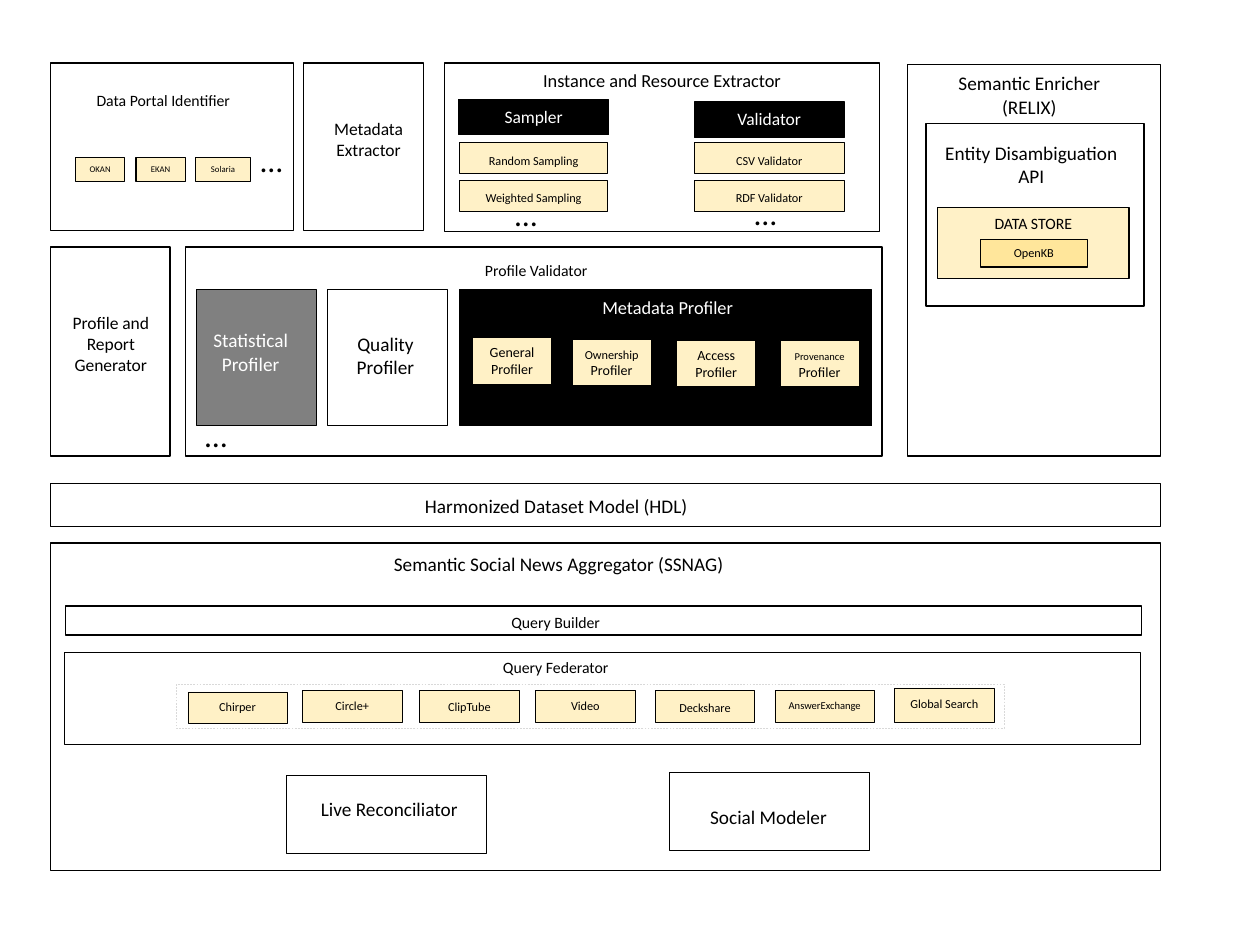
from lxml.etree import SubElement
from pptx import Presentation
from pptx.dml.color import RGBColor
from pptx.enum.dml import MSO_LINE
from pptx.enum.shapes import MSO_SHAPE
from pptx.enum.text import MSO_ANCHOR, PP_ALIGN
from pptx.oxml.ns import qn
from pptx.util import Inches, Pt

C = dict(black='000000', white='FFFFFF', gray='808080', cream='FFF1C6',
         amber='FFC000', dash='D9D9D9')
AMBER_ALPHA = 22

# Frames: left, top, width, height, fill, line width
FRAMES = [
    (0.4, 0.5, 1.93, 1.33, None, 0.75),           # data portal identifier
    (2.41, 0.5, 0.95, 1.33, None, 0.75),          # metadata extractor
    (3.53, 0.5, 3.45, 1.34, 'white', 0.75),       # instance extractor
    (7.2, 0.51, 2.01, 3.11, None, 0.75),          # semantic enricher
    (7.35, 0.98, 1.73, 1.45, None, 0.75),         # disambiguation
    (0.4, 1.96, 0.95, 1.66, None, 0.75),          # report generator
    (1.47, 1.96, 5.53, 1.66, None, 0.75),         # profile validator
    (1.56, 2.3, 0.95, 1.08, 'gray', 0.75),        # statistical profiler
    (2.6, 2.3, 0.95, 1.08, None, 0.75),           # quality profiler
    (3.65, 2.3, 3.27, 1.08, 'black', 0.75),       # metadata profiler
    (0.4, 3.84, 8.81, 0.34, None, 0.75),          # dataset model
    (0.4, 4.31, 8.81, 2.6, None, 0.75),           # news aggregator
    (0.52, 4.81, 8.54, 0.23, None, 0.75),         # query builder
    (0.51, 5.18, 8.54, 0.73, None, 0.75),         # query federator
    (2.27, 6.15, 1.59, 0.62, None, 0.25),         # live reconciliator
    (5.31, 6.13, 1.59, 0.62, None, 0.25),         # social modeler
]

# Labels: text, left, top, width, height, size, colour
LABELS = [
    ('Data Portal Identifier', 0.6, 0.67, 1.39, 0.25, 9, 'black'),
    ('Metadata Extractor', 2.53, 0.89, 0.79, 0.44, 10, 'black'),
    ('Instance and Resource Extractor', 3.53, 0.5, 3.45, 0.28, 10.5, 'black'),
    ('Semantic Enricher (RELIX)', 7.29, 0.52, 1.76, 0.47, 11, 'black'),
    ('Entity Disambiguation API', 7.32, 1.07, 1.73, 0.47, 11, 'black'),
    ('Profile and Report Generator', 0.4, 2.43, 0.96, 0.6, 10, 'black'),
    ('Profile Validator', 1.59, 2.02, 5.33, 0.25, 9, 'black'),
    ('Statistical Profiler', 1.56, 2.56, 0.86, 0.47, 11, 'white'),
    ('Quality Profiler', 2.63, 2.59, 0.86, 0.47, 11, 'black'),
    ('Metadata Profiler', 3.63, 2.3, 3.34, 0.28, 10.5, 'white'),
    ('Harmonized Dataset Model (HDL)', 2.67, 3.87, 3.49, 0.29, 11, 'black'),
    ('Semantic Social News Aggregator (SSNAG)', 2.69, 4.33, 3.49, 0.29, 11, 'black'),
    ('Query Builder', 2.72, 4.81, 3.38, 0.25, 9, 'black'),
    ('Query Federator', 2.72, 5.17, 3.38, 0.25, 9, 'black'),
    ('Live Reconciliator', 2.27, 6.28, 1.64, 0.29, 11, 'black'),
    ('Social Modeler', 5.28, 6.34, 1.64, 0.29, 11, 'black'),
]
PORTALS = [('OKAN', 0.6, 0.39), ('EKAN', 1.08, 0.39), ('Solaria', 1.55, 0.44)]
# Extractor columns: heading, left, top, width, item left, item width, items
EXTRACTORS = [
    ('Sampler', 3.64, 0.79, 1.19, 3.65, 1.17, ['Random Sampling', 'Weighted Sampling']),
    ('Validator', 5.51, 0.81, 1.19, 5.51, 1.19, ['CSV Validator', 'RDF Validator']),
]
ENRICHER = [('DATA STORE', 7.44, 1.65, 1.52, 0.56, 9), ('OpenKB', 7.78, 1.9, 0.85, 0.22, 7)]
PROFILERS = [('General', 8, 3.75, 2.68), ('Ownership', 7, 4.54, 2.69),
             ('Access', 8, 5.37, 2.7), ('Provenance', 6, 6.19, 2.7)]
# Federated sources: name, left, box top, box height, label top, size
SOURCES = [('Chirper', 1.49, 5.49, 0.25, 5.5, 7), ('Circle+', 2.4, 5.48, 0.25, 5.49, 7),
           ('ClipTube', 3.33, 5.48, 0.25, 5.5, 7), ('Video', 4.25, 5.48, 0.25, 5.49, 7),
           ('Deckshare', 5.2, 5.48, 0.25, 5.51, 7),
           ('AnswerExchange', 6.15, 5.48, 0.25, 5.5, 6),
           ('Global Search', 7.1, 5.46, 0.27, 5.48, 7)]
ELLIPSES = [(1.97, 1.07), (3.99, 1.5), (5.89, 1.49), (1.53, 3.25)]

prs = Presentation()
prs.slide_width, prs.slide_height = Inches(10), Inches(7.5)
s = prs.slides.add_slide(prs.slide_layouts[6])


def write(sp, runs, color='black', align=PP_ALIGN.CENTER, spacing=None,
          anchor=MSO_ANCHOR.TOP, wrap=True):
    tf = sp.text_frame
    for key, value in dict(word_wrap=wrap, vertical_anchor=anchor).items():
        setattr(tf, key, value)
    p = tf.paragraphs[0]
    p.alignment, p.line_spacing = align, spacing
    for text, size in runs:
        r = p.add_run()
        r.text = text
        for key, value in dict(name='Calibri', size=Pt(size)).items():
            setattr(r.font, key, value)
        r.font.color.rgb = RGBColor.from_string(C[color])


def box(x, y, w, h, fill=None, width=0.75, line='black'):
    sp = s.shapes.add_shape(MSO_SHAPE.RECTANGLE, *map(Inches, (x, y, w, h)))
    sp.shadow.inherit = False
    if fill:
        sp.fill.solid()
        sp.fill.fore_color.rgb = RGBColor.from_string(C[fill])
        if fill == 'amber':
            rgb = sp.fill._xPr.find('.//' + qn('a:srgbClr'))
            SubElement(rgb, qn('a:alpha'), val=str(AMBER_ALPHA * 1000))
    else:
        sp.fill.background()
    sp.line.color.rgb = RGBColor.from_string(C[line])
    sp.line.width = Pt(width)
    return sp


def label(runs, x, y, w, h, **fmt):
    write(s.shapes.add_textbox(*map(Inches, (x, y, w, h))), runs, **fmt)


# Frames and their titles
for frame in FRAMES:
    box(*frame)
for text, x, y, w, h, size, color in LABELS:
    label([(text, size)], x, y, w, h, color=color)

# Portal tags
for name, x, w in PORTALS:
    write(box(x, 1.25, w, 0.19, 'amber'), [(name, 5)])

# Sampler and validator columns
for head, x, y, w, item_x, item_w, items in EXTRACTORS:
    write(box(x, y, w, 0.28, 'black'), [(head, 10)], color='white')
    for i, item in enumerate(items):
        write(box(item_x, 1.13 + 0.3 * i, item_w, 0.25, 'amber'), [(item, 7)], spacing=1.3)

# Enricher stack
for name, x, y, w, h, size in ENRICHER:
    write(box(x, y, w, h, 'amber'), [(name, size)])

# Metadata profilers
for name, size, x, y in PROFILERS:
    write(box(x, y, 0.63, 0.37, 'cream'), [(name, size), (' Profiler', 8)])

# Federated sources inside a dashed frame
box(1.4, 5.43, 6.57, 0.35, None, 0.25, 'dash').line.dash_style = MSO_LINE.DASH
for name, x, y, h, text_y, size in SOURCES:
    box(x, y, 0.79, h, 'cream', 0.25)
    label([(name, size)], x - 0.08, text_y, 0.95, 0.22)

# Ellipses for further items
for x, y in ELLIPSES:
    label([('…', 18)], x, y, 0.38, 0.4, align=PP_ALIGN.LEFT, wrap=False)

prs.save("out.pptx")
